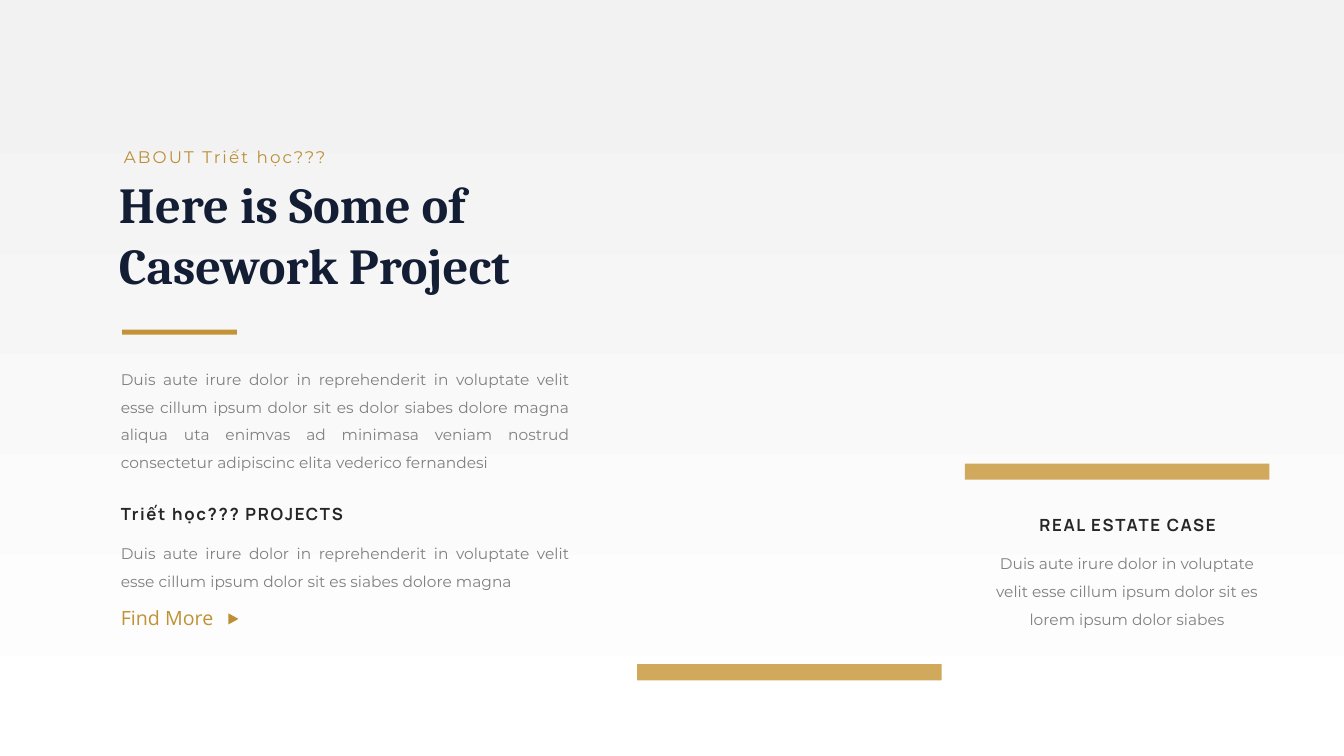
from pptx import Presentation
from pptx.dml.color import RGBColor
from pptx.enum.shapes import MSO_SHAPE
from pptx.enum.text import MSO_AUTO_SIZE, PP_ALIGN
from pptx.util import Inches, Pt

NAVY = RGBColor(0x13, 0x1E, 0x34)
INK = RGBColor(0x26, 0x26, 0x26)
GREY = RGBColor(0x80, 0x80, 0x80)
SAND = RGBColor(0xD0, 0xA9, 0x5C)
GOLD = RGBColor(0xC2, 0x94, 0x37)
BRONZE = RGBColor(0xBC, 0x8F, 0x36)
LINK_GOLD = RGBColor(0xBF, 0x92, 0x36)
PALE = RGBColor(0xF2, 0xF2, 0xF2)
WHITE = RGBColor(0xFF, 0xFF, 0xFF)

# Text formats
TITLE = dict(font="Cambria", size=36, color=NAVY, bold=True)
KICKER = dict(font="Montserrat", size=12, color=BRONZE, tracking=1.5, wrap=False)
HEADING = dict(font="Manrope", size=12, color=INK, bold=True, tracking=1.2, wrap=False)
BODY = dict(font="Montserrat", size=11, color=GREY, align=PP_ALIGN.JUSTIFY, line=1.5)
LINK = dict(font="Open Sans", size=14, color=LINK_GOLD, wrap=False)
CENTERED = dict(align=PP_ALIGN.CENTER)

# Places are left, top, width, height in percent of the slide
LEFT, COLUMN = 8.25, 34.88
BAR_WIDTH, BAR_HEIGHT = 22.66, 2.13

SHAPES = [
    (MSO_SHAPE.RECTANGLE, (47.41, 87.87, BAR_WIDTH, BAR_HEIGHT), SAND, 0),
    (MSO_SHAPE.RECTANGLE, (71.79, 61.33, BAR_WIDTH, BAR_HEIGHT), SAND, 0),
    (MSO_SHAPE.RECTANGLE, (9.08, 43.6, 8.55, 0.67), GOLD, 0),
    (MSO_SHAPE.ISOSCELES_TRIANGLE, (16.95, 81.2, 0.83, 1.33), BRONZE, 90),
]

TEXTS = [
    ("ABOUT Triết học???", (8.48, 18.8, 17.4, 4), KICKER),
    ("Here is Some of Casework Project", (8.1, 22.27, 35.03, 17.47), TITLE),
    ("Duis aute irure dolor in reprehenderit in voluptate velit esse cillum ipsum "
     "dolor sit es dolor siabes dolore magna aliqua uta enimvas ad minimasa veniam "
     "nostrud consectetur adipiscinc elita vederico fernandesi",
     (LEFT, 47.07, COLUMN, 15.73), BODY),
    ("Triết học??? PROJECTS", (LEFT, 66, 18.45, 4), HEADING),
    ("Duis aute irure dolor in reprehenderit in voluptate velit esse cillum ipsum "
     "dolor sit es siabes dolore magna", (LEFT, 70.13, COLUMN, 8.4), BODY),
    ("Find More", (LEFT, 79.47, 8.78, 4.53), LINK),
    ("REAL ESTATE CASE", (76.37, 67.47, 15.08, 4), HEADING | CENTERED),
    ("Duis aute irure dolor in voluptate velit esse cillum ipsum dolor sit es "
     "lorem ipsum dolor siabes", (72.99, 71.47, 21.76, 12), BODY | CENTERED),
]

deck = Presentation()
deck.slide_width, deck.slide_height = Inches(13.33), Inches(7.5)
slide = deck.slides.add_slide(deck.slide_layouts[6])


def place(left, top, width, height):
    """Turn percentages of the slide into lengths."""
    across, down = deck.slide_width / 100, deck.slide_height / 100
    return int(left * across), int(top * down), int(width * across), int(height * down)


def add_text(text, where, *, font, size, color, bold=False, tracking=0,
             align=PP_ALIGN.LEFT, line=None, wrap=True):
    frame = slide.shapes.add_textbox(*place(*where)).text_frame
    frame.word_wrap = wrap
    frame.auto_size = MSO_AUTO_SIZE.SHAPE_TO_FIT_TEXT
    paragraph = frame.paragraphs[0]
    paragraph.alignment = align
    paragraph.line_spacing = line
    run = paragraph.add_run()
    run.text = text
    run.font.name, run.font.size, run.font.bold = font, Pt(size), bold
    run.font.color.rgb = color
    if tracking:
        run._r.get_or_add_rPr().set("spc", str(round(tracking * 100)))


# Background, pale at the top
backdrop = slide.background.fill
backdrop.gradient()
backdrop.gradient_angle = 270
for stop, (position, shade) in zip(backdrop.gradient_stops, [(0.07, PALE), (1, WHITE)]):
    stop.position = position
    stop.color.rgb = shade

# Bars, title rule and link arrow
for kind, where, color, turn in SHAPES:
    accent = slide.shapes.add_shape(kind, *place(*where))
    accent.shadow.inherit = False
    accent.fill.solid()
    accent.fill.fore_color.rgb = color
    accent.line.fill.background()
    accent.rotation = turn

# Wording
for text, where, style in TEXTS:
    add_text(text, where, **style)

deck.save("out.pptx")
